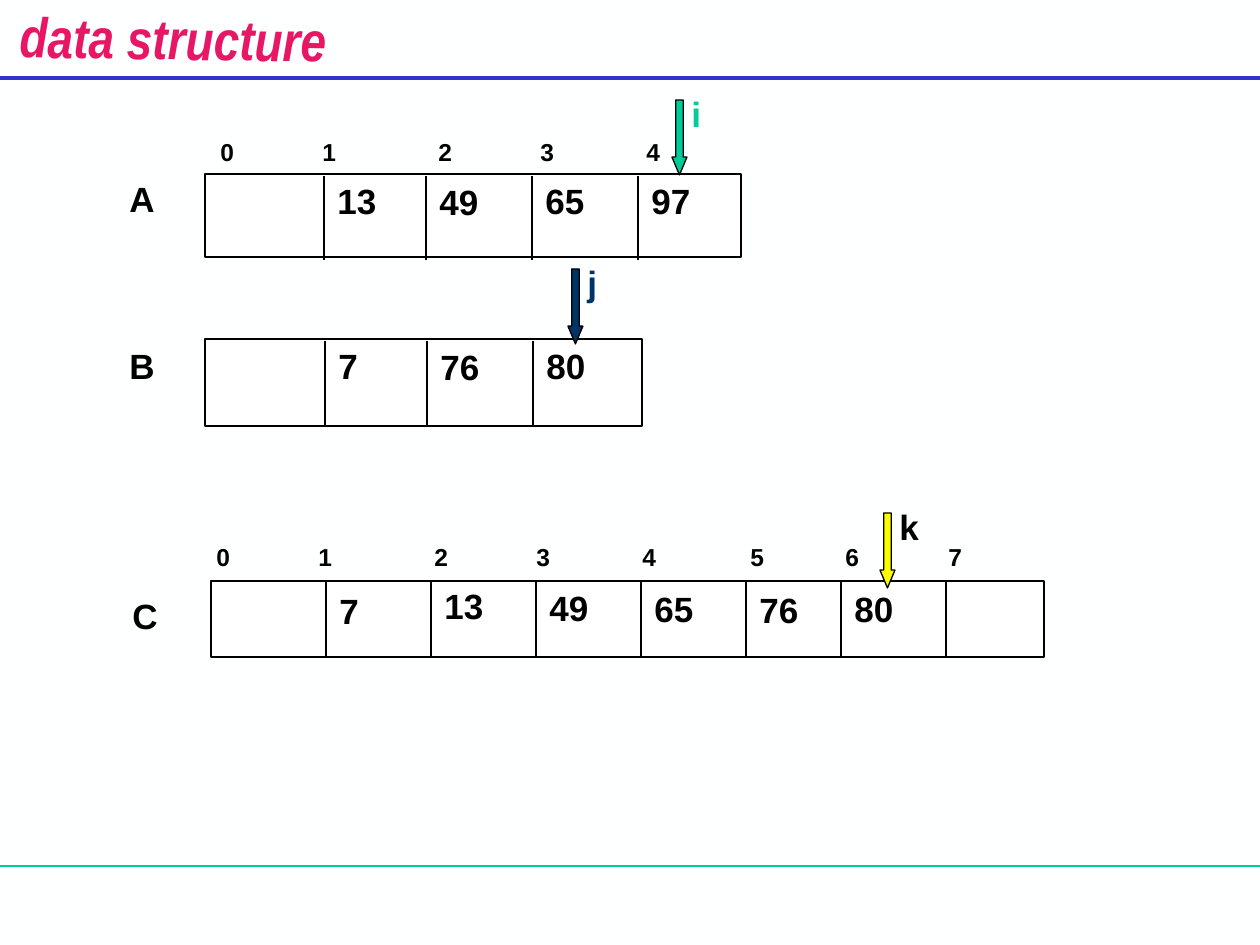
from dataclasses import dataclass

from lxml import etree
from pptx import Presentation
from pptx import util as u
from pptx.dml.color import RGBColor
from pptx.enum import shapes, text
from pptx.oxml.ns import qn


@dataclass(frozen=True)
class Theme:
    ground: str = "FEFFFF"
    cell: str = "FFFFFF"
    ink: str = "000000"
    title: str = "E81766"
    rule: str = "3333CC"
    green: str = "00CC99"
    navy: str = "003366"
    yellow: str = "FAFD00"
    font: str = "Arial"
    title_font: str = "Arial Narrow"
    title_size: int = 32
    value_size: int = 20
    index_size: int = 14
    thin: float = 0.75
    thick: float = 2.25


THEME = Theme()
INDEX_TABS = (102, 218, 320, 426, 534, 629, 732)


def px(count):
    """Convert pixels, 126 to the inch, to EMU."""
    return u.Emu(round(count * 914400 / 126))


def rgb(value):
    return RGBColor.from_string(value)


class Page:
    def __init__(self, deck, theme):
        self.theme = theme
        self.slide = deck.slides.add_slide(deck.slide_layouts[5])
        self.shapes = self.slide.shapes
        fill = self.slide.background.fill
        fill.solid()
        fill.fore_color.rgb = rgb(theme.ground)

    def style(self, para, size, color, name=None):
        font = para.font
        font.name = name or self.theme.font
        font.size = u.Pt(size)
        font.bold = True
        font.color.rgb = rgb(color)

    def title(self, words):
        box = self.shapes.title
        box.left, box.top, box.width, box.height = map(px, (8, -1, 330, 74))
        box.rotation = 0.8
        frame = box.text_frame
        frame.text = words
        frame.word_wrap = False
        frame.auto_size = text.MSO_AUTO_SIZE.NONE
        frame.vertical_anchor = text.MSO_ANCHOR.TOP
        frame.margin_left = frame.margin_right = frame.margin_bottom = 0
        frame.margin_top = px(5)
        para = frame.paragraphs[0]
        para.alignment = text.PP_ALIGN.CENTER
        self.style(para, self.theme.title_size, self.theme.title, self.theme.title_font)
        para.font.italic = True

    def line(self, start, end, color=None, width=None):
        line = self.shapes.add_connector(
            shapes.MSO_CONNECTOR.STRAIGHT, *map(px, start + end))
        line.line.color.rgb = rgb(color or self.theme.ink)
        line.line.width = u.Pt(width or self.theme.thin)
        etree.SubElement(line._element.spPr, qn("a:effectLst"))

    def shape(self, kind, area, color, parent=None):
        shape = (parent or self.shapes).add_shape(kind, *map(px, area))
        shape.shadow.inherit = False
        shape.fill.solid()
        shape.fill.fore_color.rgb = rgb(color)
        shape.line.color.rgb = rgb(self.theme.ink)
        shape.line.width = u.Pt(self.theme.thin)
        return shape

    def label(self, words, area, color=None, size=None, parent=None, tabs=()):
        box = (parent or self.shapes).add_textbox(*map(px, area))
        box.text_frame.word_wrap = True
        para = box.text_frame.paragraphs[0]
        para.text = words
        if tabs:
            tab_list = etree.SubElement(para._p.get_or_add_pPr(), qn("a:tabLst"))
            for position in tabs:
                etree.SubElement(tab_list, qn("a:tab"), pos=str(px(position)), algn="l")
        self.style(para, size or self.theme.value_size, color or self.theme.ink)

    def indices(self, count, left, top, width):
        self.label("\t".join(map(str, range(count))), (left, top, width, 42),
                   size=self.theme.index_size, tabs=INDEX_TABS[:count - 1])

    def array(self, name, name_at, area, divider_span, cells):
        """Draw a named row; each cell has its left edge, value and text top."""
        self.label(name, name_at + (84, 54))
        self.shape(shapes.MSO_SHAPE.RECTANGLE, area, self.theme.cell)
        top, bottom = divider_span
        for edge, value, value_top in cells:
            self.line((edge, top), (edge, bottom))
            if value:
                self.label(value, (edge + 1, value_top, 84, 54))

    def pointer(self, name, left, top, color, name_color):
        group = self.shapes.add_group_shape().shapes
        arrow = self.shape(shapes.MSO_SHAPE.DOWN_ARROW, (left, top, 15, 75), color, group)
        arrow.adjustments[0] = 0.5
        arrow.adjustments[1] = 1.19
        self.label(name, (left + 7, top - 14, 67, 54), name_color, parent=group)


def main():
    deck = Presentation()
    deck.slide_width, deck.slide_height = px(1260), px(945)
    page = Page(deck, THEME)

    page.line((0, 866), (1260, 866), THEME.green)
    page.line((0, 78), (1260, 78), THEME.rule, THEME.thick)
    page.title("data structure")

    page.indices(5, 208, 131, 535)
    page.array("A", (117, 171), (205, 174, 536, 83), (176, 260), [
        (324, "13", 173), (426, "49", 174), (532, "65", 173), (638, "97", 173)])
    page.array("B", (117, 338), (205, 339, 437, 87), (341, 425), [
        (325, "7", 338), (427, "76", 339), (533, "80", 338)])
    page.indices(8, 204, 536, 839)
    page.array("C", (120, 588), (211, 581, 833, 76), (581, 658), [
        (326, "7", 583), (431, "13", 578), (536, "49", 580), (641, "65", 581),
        (746, "76", 582), (841, "80", 581), (946, "", 581)])

    page.pointer("i", 672, 100, THEME.green, THEME.green)
    page.pointer("j", 568, 269, THEME.navy, THEME.navy)
    page.pointer("k", 880, 513, THEME.yellow, THEME.ink)

    deck.save("out.pptx")


if __name__ == "__main__":
    main()
